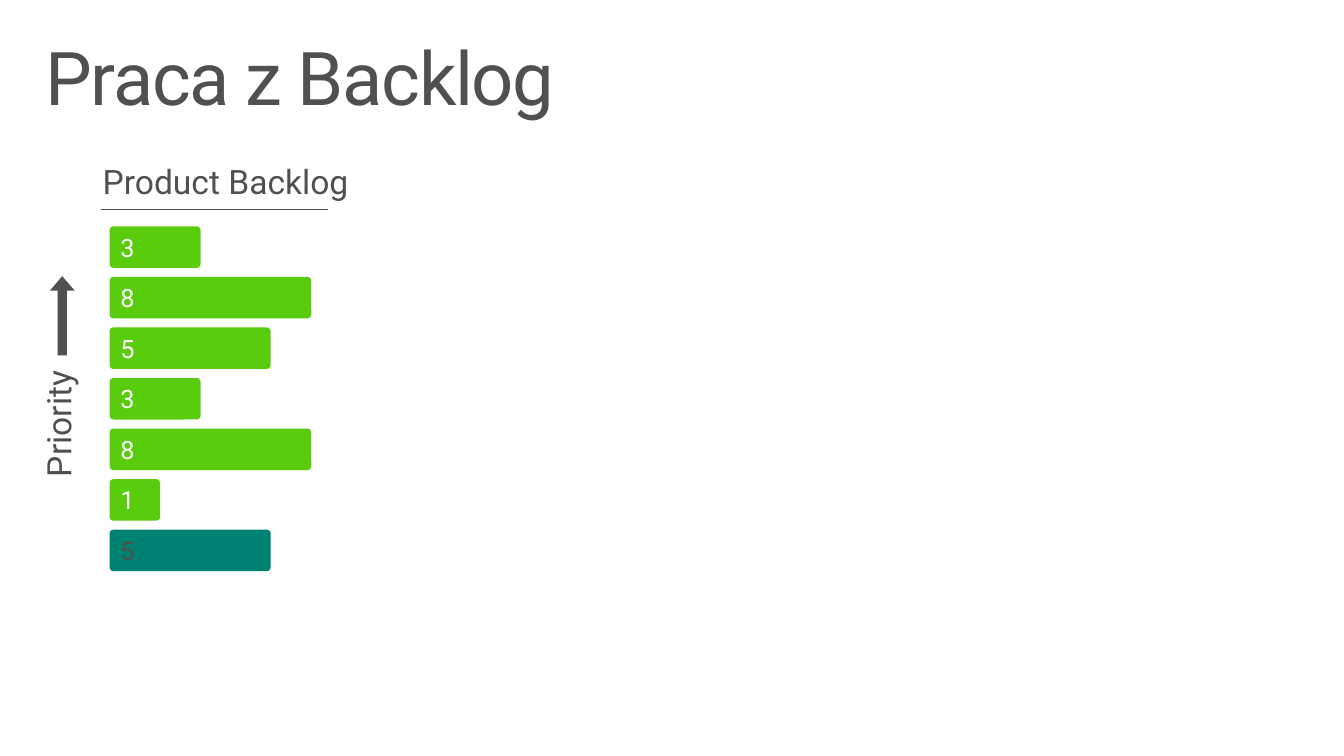
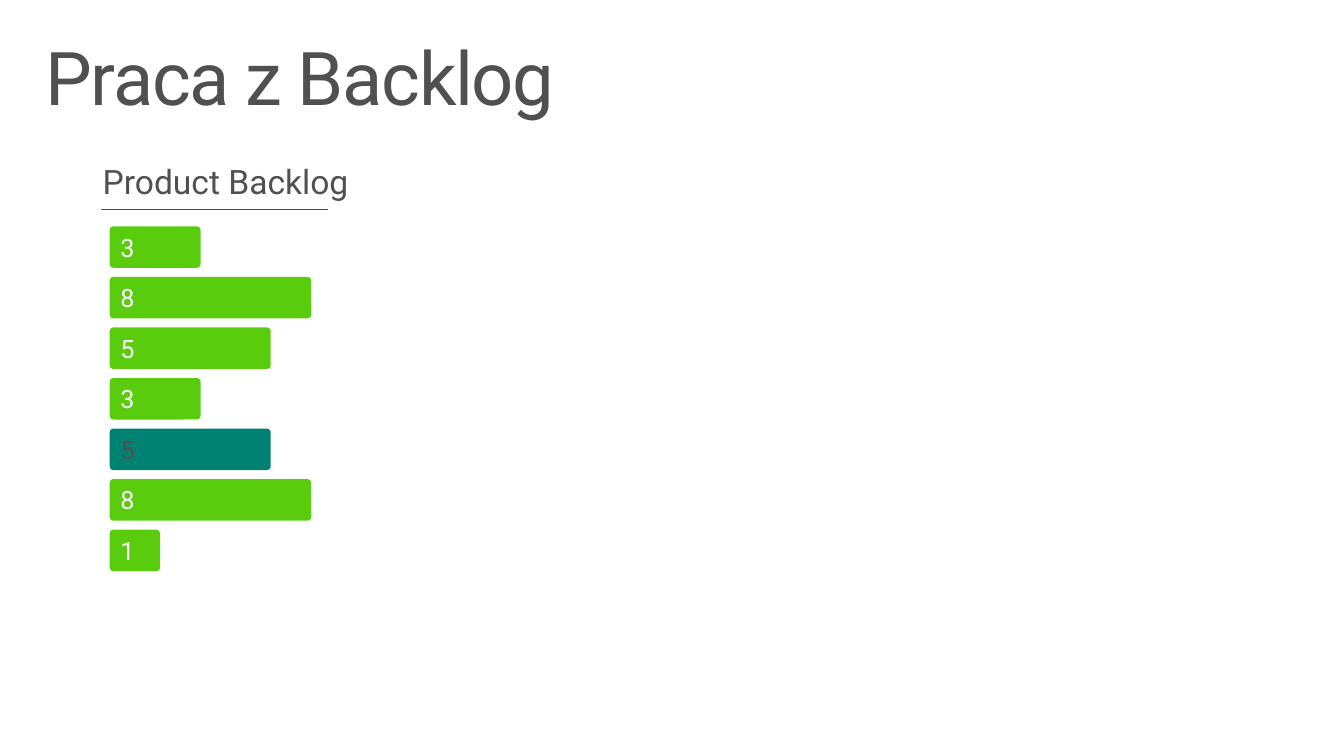
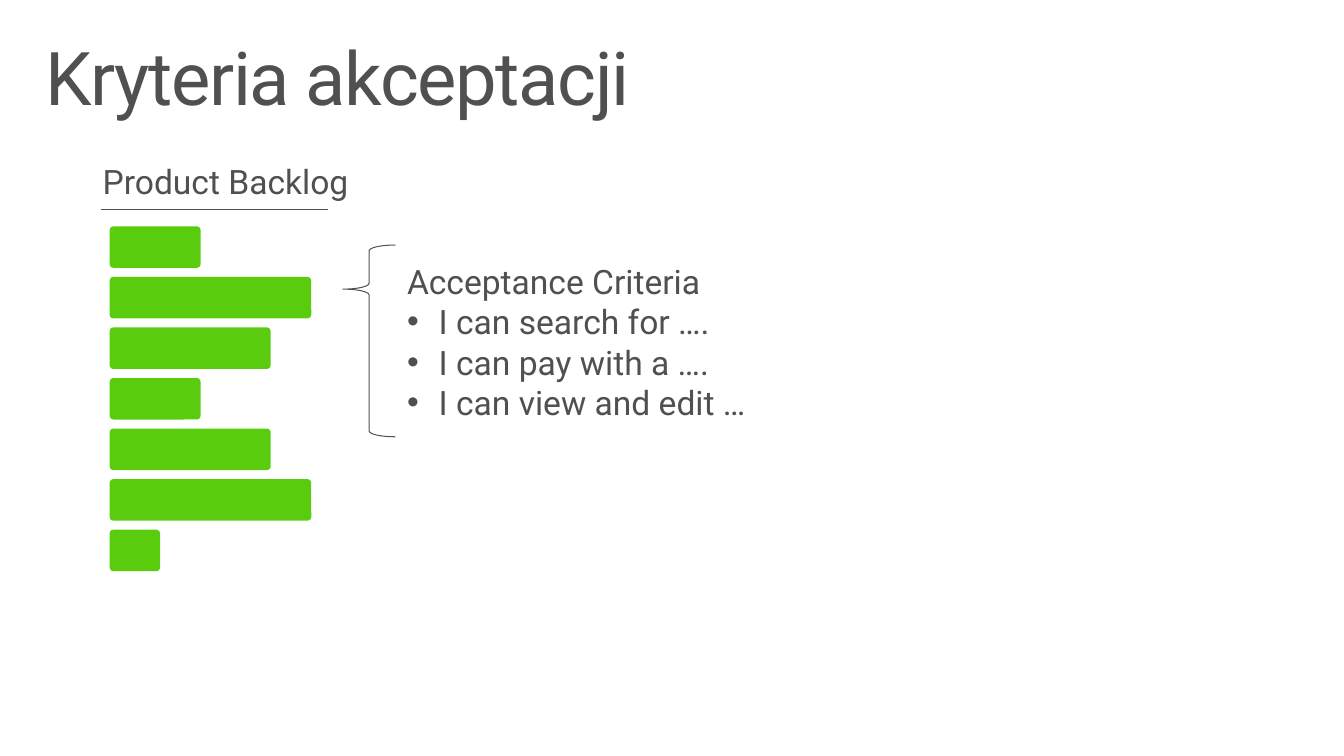
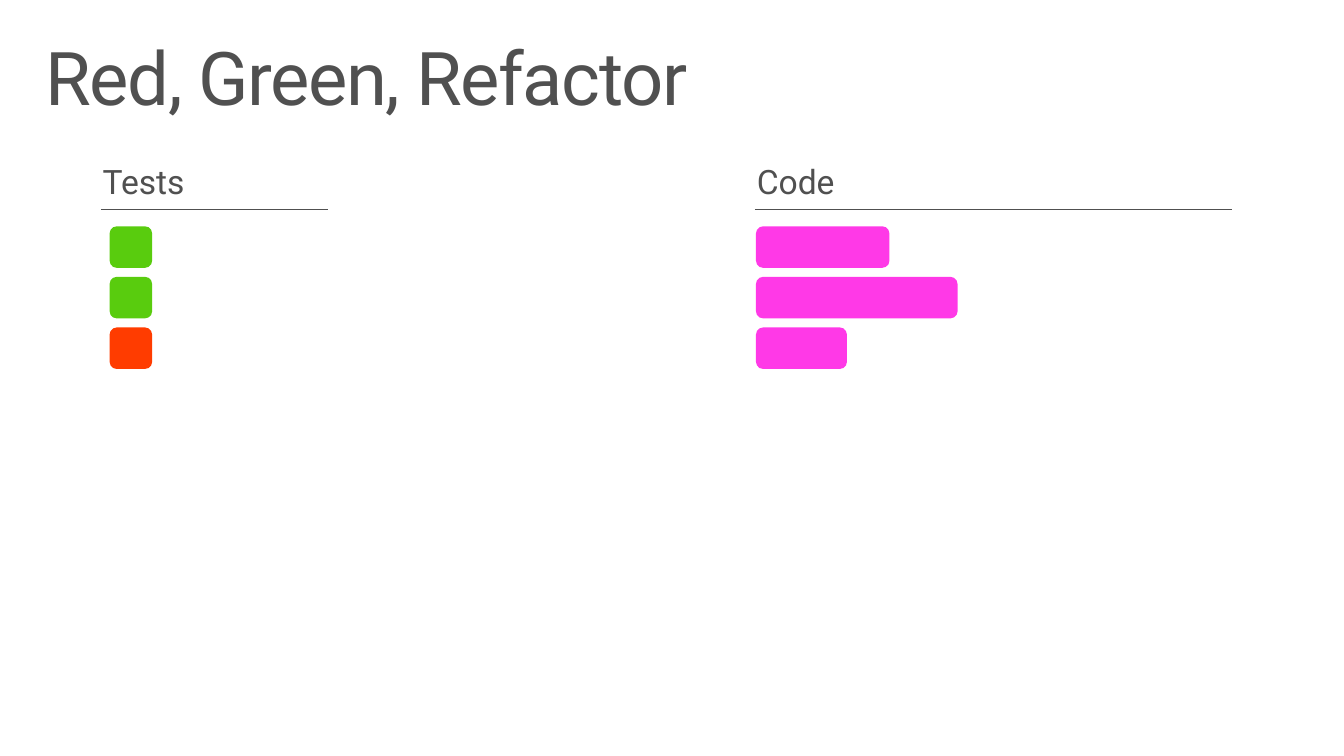
from lxml import etree
from pptx import Presentation
from pptx.dml.color import RGBColor
from pptx.enum import shapes, text
from pptx.oxml import ns
from pptx.util import Inches, Pt

COLOURS = {
    "ink": "505050",
    "white": "FFFFFF",
    "green": "59CC0E",
    "teal": "008272",
    "pink": "FF39E7",
    "red": "FF3C00",
}
FONT = "Roboto"
BODY_SIZE = 24.5
LABEL_SIZE = 18.4
BAR_TOP, BAR_HEIGHT = 2.29, 0.42
BAR_PITCH = (5.36 - BAR_TOP) / 6
STORY_WIDTHS = {1: 0.51, 3: 0.92, 5: 1.63, 8: 2.04}
STORY_CORNER, BLOCK_CORNER = 0.09, 0.17


def style(paragraph, size, colour="ink"):
    """Give a paragraph the deck's typeface with a size and a colour."""
    paragraph.font.name = FONT
    paragraph.font.size = Pt(size)
    paragraph.font.color.rgb = RGBColor.from_string(COLOURS[colour])


def add_filled(page, kind, left, top, width, height, colour, corners):
    """Add a flat, borderless preset shape with the given adjustments."""
    shape = page.shapes.add_shape(
        kind, Inches(left), Inches(top), Inches(width), Inches(height))
    shape.shadow.inherit = False
    shape.fill.solid()
    shape.fill.fore_color.rgb = RGBColor.from_string(COLOURS[colour])
    shape.line.fill.background()
    for index, value in enumerate(corners):
        shape.adjustments[index] = value
    return shape


# Each bar: width, fill, label, label colour
def_story = [(3, "green"), (8, "green"), (5, "green"), (3, "green")]
first_order = def_story + [(8, "green"), (1, "green"), (5, "teal")]
second_order = def_story + [(5, "teal"), (8, "green"), (1, "green")]
first_bars, second_bars = [
    [(STORY_WIDTHS[points], fill, str(points), "ink" if fill == "teal" else "white")
     for points, fill in order]
    for order in (first_order, second_order)
]
plain_bars = [(width, "green", "", "white") for width, *_ in second_bars]
test_bars = [(0.43, fill, "", "white") for fill in ("green", "green", "red")]
code_bars = [(width, "pink", "", "white") for width in (1.35, 2.04, 0.92)]

# Each column: heading, rule start, rule end, bar left, corner, bars
backlog = ("Product Backlog", 1.02, 3.32, 1.11, STORY_CORNER)
slides = [
    ("Praca z Backlog", [(*backlog, first_bars)]),
    ("Praca z Backlog", [(*backlog, second_bars)]),
    ("Kryteria akceptacji", [(*backlog, plain_bars)]),
    ("Red, Green, Refactor", [
        ("Tests", 1.02, 3.32, 1.11, BLOCK_CORNER, test_bars),
        ("Code", 7.64, 12.47, 7.65, BLOCK_CORNER, code_bars),
    ]),
]

deck = Presentation()
deck.slide_width, deck.slide_height = Inches(13.6), Inches(7.65)
pages = []

for title_text, columns in slides:
    page = deck.slides.add_slide(deck.slide_layouts[5])
    pages.append(page)

    title = page.shapes.title
    title.left, title.top = Inches(0.3), Inches(0.32)
    title.width, title.height = Inches(13), Inches(1)
    frame = title.text_frame
    frame.text = title_text
    frame.auto_size = text.MSO_AUTO_SIZE.NONE
    frame.vertical_anchor = text.MSO_ANCHOR.TOP
    frame.margin_left = frame.margin_right = Inches(0.16)
    frame.margin_top = frame.margin_bottom = Inches(0.1)
    paragraph = frame.paragraphs[0]
    paragraph.alignment = text.PP_ALIGN.LEFT
    paragraph.line_spacing = 0.9
    style(paragraph, 54)
    paragraph.runs[0].font._element.set("spc", "-100")

    for heading, rule_start, rule_end, bar_left, corner, bars in columns:
        rule = page.shapes.add_connector(
            shapes.MSO_CONNECTOR.STRAIGHT,
            Inches(rule_start), Inches(2.12), Inches(rule_end), Inches(2.12))
        rule.line.color.rgb = RGBColor.from_string(COLOURS["ink"])
        rule.line.width = Pt(0.75)
        etree.SubElement(rule._element.spPr, ns.qn("a:effectLst"))

        box = page.shapes.add_textbox(
            Inches(rule_start - 0.08), Inches(1.58), Inches(3.42), Inches(0.52))
        box.text_frame.word_wrap = True
        box.text_frame.text = heading
        style(box.text_frame.paragraphs[0], BODY_SIZE)

        for row, (width, fill, label, label_colour) in enumerate(bars):
            bar = add_filled(
                page, shapes.MSO_SHAPE.ROUNDED_RECTANGLE, bar_left,
                BAR_TOP + row * BAR_PITCH, width, BAR_HEIGHT, fill, [corner])
            if label:
                bar.text_frame.text = label
                bar.text_frame.vertical_anchor = text.MSO_ANCHOR.MIDDLE
                paragraph = bar.text_frame.paragraphs[0]
                paragraph.alignment = text.PP_ALIGN.LEFT
                style(paragraph, LABEL_SIZE, label_colour)

# Priority marker beside the first backlog
arrow = add_filled(pages[0], shapes.MSO_SHAPE.RIGHT_ARROW,
                   0.23, 3.07, 0.8, 0.25, "ink", [0.38, 0.58])
arrow.rotation = 270
priority = pages[0].shapes.add_textbox(
    Inches(-0.19), Inches(4.03), Inches(1.55), Inches(0.52))
priority.rotation = 270
priority.text_frame.word_wrap = True
priority.text_frame.vertical_anchor = text.MSO_ANCHOR.MIDDLE
priority.text_frame.text = "Priority"
priority.text_frame.paragraphs[0].alignment = text.PP_ALIGN.CENTER
style(priority.text_frame.paragraphs[0], BODY_SIZE)

# Acceptance criteria for the second story
brace = add_filled(pages[2], shapes.MSO_SHAPE.LEFT_BRACE,
                   3.47, 2.48, 0.53, 1.94, "white", [0.11, 0.23])
brace.fill.background()
brace.line.color.rgb = RGBColor.from_string(COLOURS["ink"])
brace.line.width = Pt(0.75)

criteria = pages[2].shapes.add_textbox(
    Inches(4.02), Inches(2.59), Inches(5.41), Inches(2.59))
criteria.text_frame.word_wrap = True
criteria.text_frame.text = "\n".join([
    "Acceptance Criteria",
    "I can search for ….",
    "I can pay with a ….",
    "I can view and edit …",
])
for index, paragraph in enumerate(criteria.text_frame.paragraphs):
    if index:
        properties = paragraph._p.get_or_add_pPr()
        properties.set("marL", str(Inches(0.32)))
        properties.set("indent", str(-Inches(0.32)))
        bullet_font = etree.SubElement(properties, ns.qn("a:buFont"))
        bullet_font.set("typeface", "Arial")
        etree.SubElement(properties, ns.qn("a:buChar")).set("char", "•")
    style(paragraph, BODY_SIZE)

deck.save("out.pptx")
